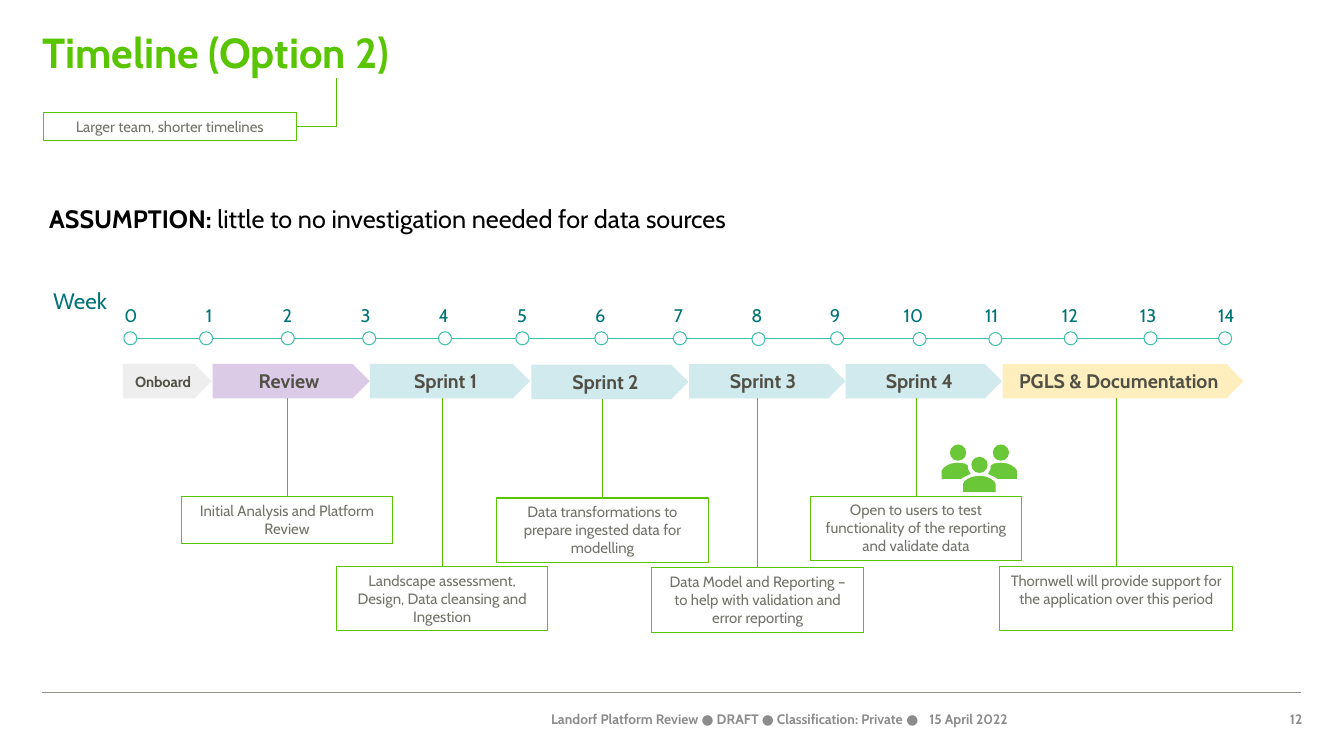
from lxml import etree
from pptx import Presentation
from pptx.dml.color import RGBColor
from pptx.enum.shapes import MSO_CONNECTOR, MSO_SHAPE
from pptx.enum.text import MSO_ANCHOR, PP_ALIGN
from pptx.oxml.ns import qn
from pptx.util import Cm, Pt

LEFT, CENTER, RIGHT = PP_ALIGN.LEFT, PP_ALIGN.CENTER, PP_ALIGN.RIGHT
TOP, MIDDLE, BOTTOM = MSO_ANCHOR.TOP, MSO_ANCHOR.MIDDLE, MSO_ANCHOR.BOTTOM
STRAIGHT, ELBOW = MSO_CONNECTOR.STRAIGHT, MSO_CONNECTOR.ELBOW
RECT, OVAL, PLATE = MSO_SHAPE.RECTANGLE, MSO_SHAPE.OVAL, MSO_SHAPE.PENTAGON

FONT = "Cabin"
WHITE, BLACK = "FFFFFF", "000000"
GREEN, LINK_GREEN, ICON_GREEN = "58C500", "56C100", "6AC738"
TEAL, AXIS_TEAL, DOT_TEAL = "007377", "3BC0AA", "40C1AC"
SPRINT_BLUE = "49ADBB"
FOOTER_GREY = "8C8C8C"
NO_GRID_STYLE = "{2D5ABB26-0587-4C30-8999-92F81FD0307C}"

PLATE_HEIGHT = 0.87
DOT_SIZE = 0.33
DOT_LEFTS = [3.12, 5.03, 7.09, 9.14, 11.05, 13, 14.99, 16.97,
             18.95, 20.93, 23.01, 24.92, 26.82, 28.83, 30.71]
LOW_WEEKS = {8, 10, 11}

PHASES = [
    ("Onboard", 3.1, 9.17, 2.24, "BFBFBF", 10.5, None),
    (" Review", 5.36, 9.17, 3.96, "7030A0", 14,
     ("Initial Analysis and Platform Review", 4.57, 12.52, 5.33, 1.17)),
    ("Sprint 1", 9.32, 9.17, 4.04, SPRINT_BLUE, 14,
     ("Landscape assessment, Design, Data cleansing and Ingestion",
      8.48, 14.27, 5.33, 1.63)),
    ("Sprint 2", 13.39, 9.19, 3.96, SPRINT_BLUE, 14,
     ("Data transformations to prepare ingested data for modelling",
      12.52, 12.55, 5.33, 1.63)),
    ("Sprint 3", 17.37, 9.17, 3.94, SPRINT_BLUE, 14,
     ("Data Model and Reporting – to help with validation and error reporting",
      16.43, 14.3, 5.33, 1.63)),
    ("Sprint 4", 21.31, 9.17, 3.94, SPRINT_BLUE, 14,
     ("Open to users to test functionality of the reporting and validate data",
      20.42, 12.5, 5.33, 1.63)),
    ("PGLS & Documentation", 25.27, 9.17, 6.07, "FFC000", 14,
     ("Thornwell will provide support for the application over this period",
      25.2, 14.27, 5.87, 1.63)),
]

USERS_X = 24.68
HEADS = [(-0.54, 11.2), (0.54, 11.2), (0, 11.51)]
FRONT_HALF = [(0.41, 12.4), (0.41, 12.19), (0.37, 12.12), (0.28, 12.06),
              (0.16, 12.01), (0, 11.99)]
SIDE_BODY = [(0.95, 12.07), (0.95, 11.86), (0.9, 11.79), (0.8, 11.72),
             (0.7, 11.68), (0.55, 11.66), (0.37, 11.68), (0.29, 11.73),
             (0.28, 11.83), (0.22, 11.94), (0.42, 12.04), (0.46, 12.07)]


def rgb(color):
    return RGBColor.from_string(color)


def style_text(p, size, color, bold=False, align=LEFT):
    p.font.name = FONT
    p.font.size = Pt(size)
    p.font.bold = bold
    p.font.color.rgb = rgb(color)
    p.alignment = align


def style_shape(sp, fill, line=None):
    sp.shadow.inherit = False
    sp.fill.solid()
    sp.fill.fore_color.rgb = rgb(fill)
    if line:
        sp.line.color.rgb = rgb(line)
        sp.line.width = Pt(0.75)
    else:
        sp.line.fill.background()


def add_shape(shapes, kind, x, y, w, h, fill, line=None):
    sp = shapes.add_shape(kind, Cm(x), Cm(y), Cm(w), Cm(h))
    style_shape(sp, fill, line)
    return sp


def add_label(s, text, x, y, w, h, size, color, bold=False, align=LEFT):
    tf = s.shapes.add_textbox(Cm(x), Cm(y), Cm(w), Cm(h)).text_frame
    tf.word_wrap = True
    p = tf.paragraphs[0]
    p.text = text
    style_text(p, size, color, bold, align)
    return tf


def add_tight_label(s, text, x, y, w, h, size, color, spacing, align=LEFT):
    tf = add_label(s, text, x, y, w, h, size, color, True, align)
    tf.margin_left = tf.margin_right = tf.margin_top = tf.margin_bottom = 0
    tf.paragraphs[0].line_spacing = Pt(spacing)
    return tf


def add_line(s, x1, y1, x2, y2, color, width=0.75, kind=STRAIGHT):
    c = s.shapes.add_connector(kind, Cm(x1), Cm(y1), Cm(x2), Cm(y2))
    c.line.color.rgb = rgb(color)
    c.line.width = Pt(width)
    etree.SubElement(c.element.spPr, qn("a:effectLst"))
    return c


def add_note(s, text, x, y, w, h):
    sp = add_shape(s.shapes, RECT, x, y, w, h, WHITE, GREEN)
    tf = sp.text_frame
    tf.word_wrap = True
    tf.vertical_anchor = TOP
    tf.text = text
    style_text(tf.paragraphs[0], 10.7, "73736B", align=CENTER)
    return sp


def add_plate(s, text, x, y, w, color, size):
    sp = add_shape(s.shapes, PLATE, x, y, w, PLATE_HEIGHT, color)
    tint = sp.element.spPr.find(".//" + qn("a:srgbClr"))
    etree.SubElement(tint, qn("a:alpha"), val="25000")
    tf = sp.text_frame
    tf.word_wrap = True
    tf.vertical_anchor = MIDDLE
    tf.text = text
    style_text(tf.paragraphs[0], size, "515046", True, CENTER)


def add_phase(s, text, x, y, w, color, size, note):
    add_plate(s, text, x, y, w, color, size)
    if note:
        sp = add_note(s, *note)
        middle = note[1] + note[3] / 2
        c = add_line(s, middle, y + PLATE_HEIGHT, middle, note[2], LINK_GREEN)
        c.end_connect(sp, 0)


def add_week_numbers(s):
    count = len(DOT_LEFTS)
    frame = s.shapes.add_table(1, count, Cm(2.31), Cm(7.47), Cm(29.59), Cm(0.97))
    table = frame.table
    table.first_row = table.horz_banding = False
    table._tbl.tblPr.find(qn("a:tableStyleId")).text = NO_GRID_STYLE
    for week in range(count):
        cell = table.cell(0, week)
        cell.fill.background()
        cell.vertical_anchor = MIDDLE
        cell.margin_left = cell.margin_right = Cm(0.38)
        cell.margin_top = cell.margin_bottom = Cm(0.13)
        cell.text = str(week)
        style_text(cell.text_frame.paragraphs[0], 13, TEAL, align=CENTER)


def add_axis(s):
    add_line(s, 3.12, 8.53, 31.06, 8.53, AXIS_TEAL)
    for week, x in enumerate(DOT_LEFTS):
        y = 8.38 if week in LOW_WEEKS else 8.36
        add_shape(s.shapes, OVAL, x, y, DOT_SIZE, DOT_SIZE, WHITE, DOT_TEAL)
    add_week_numbers(s)
    add_label(s, "Week", 1.09, 7.11, 2.18, 0.94, 16, TEAL)


def mirror(points):
    return [(-x, y) for x, y in points]


def add_users_icon(s):
    shapes = s.shapes.add_group_shape().shapes
    for dx, y in HEADS:
        add_shape(shapes, OVAL, USERS_X + dx - 0.2, y, 0.41, 0.41, ICON_GREEN)
    front = FRONT_HALF + mirror(FRONT_HALF[-2::-1])
    for body in (SIDE_BODY, mirror(SIDE_BODY), front):
        points = [(Cm(USERS_X + dx), Cm(y)) for dx, y in body]
        builder = shapes.build_freeform(*points[0], scale=1.0)
        builder.add_line_segments(points[1:], close=True)
        style_shape(builder.convert_to_shape(), ICON_GREEN)


def add_header(s):
    tf = add_tight_label(s, "Timeline (Option 2)", 1.07, 0.76, 31.75, 1.19,
                         30, GREEN, 32.7)
    tf.vertical_anchor = BOTTOM
    sp = add_note(s, "Larger team, shorter timelines", 1.09, 2.84, 6.38, 0.71)
    c = add_line(s, 7.47, 3.2, 8.48, 1.96, LINK_GREEN, kind=ELBOW)
    c.element.spPr.find(qn("a:prstGeom")).set("prst", "bentConnector2")
    c.begin_connect(sp, 3)
    tf = add_label(s, "", 0.99, 5, 18.85, 1.02, 18, BLACK)
    p = tf.paragraphs[0]
    r = p.add_run()
    r.text = "ASSUMPTION:"
    r.font.bold = True
    p.add_run().text = " little to no investigation needed for data sources"
    for r in p.runs:
        r.font.name = FONT
        r.font.size = Pt(18)
        r.font.color.rgb = rgb(BLACK)


def add_footer(s):
    add_line(s, 1.07, 17.45, 32.79, 17.45, "919388", 0.25)
    for text, x, w, align in [
        ("Landorf Platform Review ● DRAFT ● Classification: Private ●",
         12.98, 10.16, RIGHT),
        ("15 April 2022", 23.42, 3.99, LEFT),
        ("12", 31.75, 1.07, RIGHT),
    ]:
        add_tight_label(s, text, x, 17.91, w, 0.41, 9.8, FOOTER_GREY, 11.7, align)


def main():
    prs = Presentation()
    prs.slide_width, prs.slide_height = Cm(33.87), Cm(19.05)
    s = prs.slides.add_slide(prs.slide_layouts[6])
    add_footer(s)
    add_header(s)
    add_axis(s)
    for phase in PHASES:
        add_phase(s, *phase)
    add_users_icon(s)
    prs.save("out.pptx")


if __name__ == "__main__":
    main()
